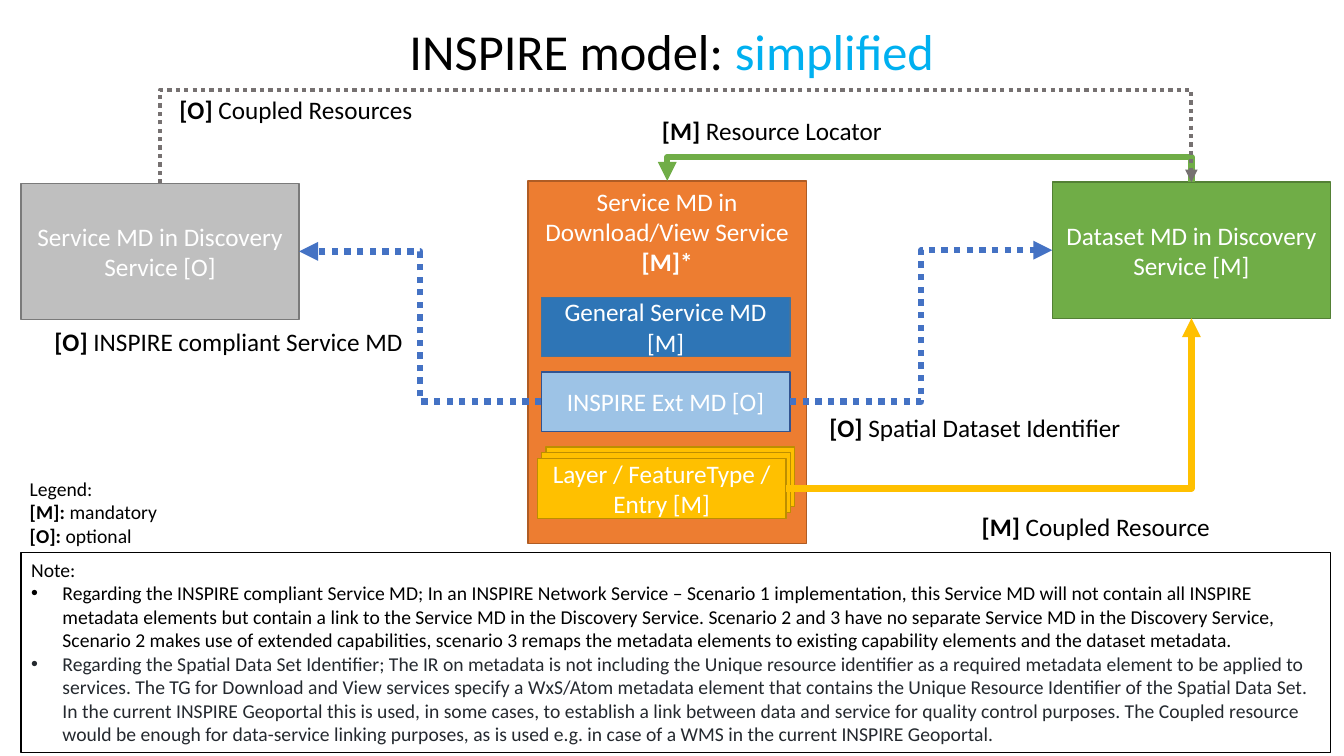
from dataclasses import dataclass

from lxml import etree
from pptx import Presentation
from pptx import util as u
from pptx.dml import color
from pptx.enum import dml, shapes, text
from pptx.oxml import ns

TOP, LEFT, BOTTOM, RIGHT = range(4)


@dataclass(frozen=True)
class Theme:
    font: str = "Calibri"
    title: int = 36
    label: int = 18
    note: int = 14
    black: str = "000000"
    white: str = "FFFFFF"
    accent: str = "00B0F0"
    ink: str = "24292F"
    gray: tuple = ("BFBFBF", "7A7A7A")
    orange: tuple = ("ED7D31", "AF5C24")
    green: tuple = ("70AD47", "538035")
    yellow: tuple = ("FFC000", "BD8E00")
    blue: tuple = ("2E75B6", "43739E")
    sky: tuple = ("9DC3E6", "325491")
    link: str = "4472C4"
    coupling: str = "767171"


THEME = Theme()


def apply(target, values):
    for name, value in values.items():
        setattr(target, name, value)


def rgb(value):
    return color.RGBColor.from_string(value)


def place(shape, left, top, width, height):
    apply(shape, {"left": u.Cm(left), "top": u.Cm(top),
                  "width": u.Cm(width), "height": u.Cm(height)})


def paint(shape, fill, line):
    shape.fill.solid()
    shape.fill.fore_color.rgb = rgb(fill)
    shape.line.color.rgb = rgb(line)
    shape.line.width = u.Pt(1)


def write(frame, paragraphs, size, ink, align=text.PP_ALIGN.LEFT, **frame_format):
    apply(frame, {"word_wrap": True, "auto_size": text.MSO_AUTO_SIZE.NONE, **frame_format})
    for index, runs in enumerate(paragraphs):
        paragraph = frame.add_paragraph() if index else frame.paragraphs[0]
        apply(paragraph, {"alignment": align, "space_before": u.Pt(0)})
        for words, changes in runs:
            run = paragraph.add_run()
            run.text = words
            values = {"name": THEME.font, "size": u.Pt(size), "bold": False, **changes}
            run.font.color.rgb = rgb(values.pop("ink", ink))
            apply(run.font, values)


def tagged(tag, words):
    return [(tag, {"bold": True}), (words, {})]


def add_box(parent, area, colours, runs=(), anchor=text.MSO_ANCHOR.MIDDLE):
    box = parent.add_shape(shapes.MSO_SHAPE.RECTANGLE, 0, 0, 0, 0)
    place(box, *area)
    box.shadow.inherit = False
    paint(box, *colours)
    if runs:
        write(box.text_frame, [runs], THEME.label, THEME.white,
              text.PP_ALIGN.CENTER, vertical_anchor=anchor)
    return box


def add_label(slide, area, paragraphs, size=THEME.label, wrap=False):
    label = slide.shapes.add_textbox(0, 0, 0, 0)
    place(label, *area)
    write(label.text_frame, paragraphs, size, THEME.black, word_wrap=wrap)


def add_link(slide, start, end, ink, width=4.5, dotted=False, corner=False, crest=None):
    link = slide.shapes.add_connector(shapes.MSO_CONNECTOR.ELBOW, 0, 0, 0, 0)
    link.begin_connect(*start)
    link.end_connect(*end)
    link.line.color.rgb = rgb(ink)
    link.line.width = u.Pt(width)
    if dotted:
        link.line.dash_style = dml.MSO_LINE.ROUND_DOT
    properties = link._element.spPr
    if corner:
        properties.find(ns.qn("a:prstGeom")).set("prst", "bentConnector2")
    if crest is not None:
        raise_link(link, u.Cm(crest))
    etree.SubElement(properties.find(ns.qn("a:ln")), ns.qn("a:tailEnd"), type="triangle")
    etree.SubElement(properties, ns.qn("a:effectLst"))


def raise_link(link, crest):
    start_x, start_y, end_x, end_y = link.begin_x, link.begin_y, link.end_x, link.end_y
    rise, span = start_y - end_y, abs(end_x - start_x)
    apply(link, {"left": (start_x + end_x - rise) // 2, "top": (start_y + end_y - span) // 2,
                 "width": rise, "height": span})
    properties = link._element.spPr
    frame = properties.find(ns.qn("a:xfrm"))
    for name, value in {"rot": "16200000", "flipH": "0",
                        "flipV": str(int(end_x < start_x))}.items():
        frame.set(name, value)
    geometry = properties.find(ns.qn("a:prstGeom"))
    guides = geometry.find(ns.qn("a:avLst"))
    if guides is None:
        guides = etree.SubElement(geometry, ns.qn("a:avLst"))
    bend = round((start_y - crest) / rise * 100000)
    etree.SubElement(guides, ns.qn("a:gd"), name="adj1", fmla=f"val {bend}")


def set_bullet(paragraph, bullet):
    properties = paragraph._p.get_or_add_pPr()
    indent = u.Cm(0.79) if bullet else 0
    properties.set("marL", str(indent))
    properties.set("indent", str(-indent))
    if bullet:
        etree.SubElement(properties, ns.qn("a:buFont"), typeface="Arial")
        etree.SubElement(properties, ns.qn("a:buChar"), char=bullet)
    else:
        etree.SubElement(properties, ns.qn("a:buNone"))


def add_title_and_note(slide):
    title, note = slide.placeholders
    place(title, 9.73, 0.38, 14.4, 1.8)
    write(title.text_frame, [[("INSPIRE model: ", {}), ("simplified", {"ink": THEME.accent})]],
          THEME.title, THEME.black, text.PP_ALIGN.CENTER, word_wrap=False)
    place(note, 0.53, 13.92, 33, 5.05)
    paint(note, THEME.white, THEME.black)
    write(note.text_frame, [
        [("Note:", {})],
        [("Regarding the INSPIRE compliant Service MD; In an INSPIRE Network Service – Scenario 1 "
          "implementation, this Service MD will not contain all INSPIRE metadata elements but "
          "contain a link to the Service MD in the Discovery Service. Scenario 2 and 3 have no "
          "separate Service MD in the Discovery Service, Scenario 2 makes use of extended "
          "capabilities, scenario 3 remaps the metadata elements to existing capability elements "
          "and the dataset metadata.", {})],
        [("Regarding the Spatial Data Set Identifier; The IR on metadata is not including the "
          "Unique resource identifier as a required metadata element to be applied to services. "
          "The TG for Download and View services specify a WxS/Atom metadata element that "
          "contains the Unique Resource Identifier of the Spatial Data Set. In the current "
          "INSPIRE Geoportal this is used, in some cases, to establish a link between data and "
          "service for quality control purposes. The Coupled resource would be enough for "
          "data-service linking purposes, as is used e.g. in case of a WMS in the current "
          "INSPIRE Geoportal.", {"ink": THEME.ink})],
    ], THEME.note, THEME.black, vertical_anchor=text.MSO_ANCHOR.TOP)
    for index, paragraph in enumerate(note.text_frame.paragraphs):
        set_bullet(paragraph, "•" if index else None)


def add_layers(slide):
    stack = slide.shapes.add_group_shape()
    for depth in (2, 1, 0):
        runs = () if depth else [("Layer / FeatureType / Entry [M]", {})]
        front = add_box(stack.shapes, (13.54 + 0.11 * depth, 11.56 - 0.15 * depth, 6.27, 1.5),
                        THEME.yellow, runs)
    return front


def main():
    presentation = Presentation()
    apply(presentation, {"slide_width": u.Cm(33.87), "slide_height": u.Cm(19.05)})
    slide = presentation.slides.add_slide(presentation.slide_layouts[1])
    add_title_and_note(slide)

    discovery = add_box(slide.shapes, (0.53, 4.62, 7.01, 3.43), THEME.gray,
                        [("Service MD in Discovery Service [O]", {})])
    service = add_box(slide.shapes, (13.31, 4.56, 7.01, 9.14), THEME.orange,
                      [("Service MD in Download/View Service ", {}), ("[M]*", {"bold": True})],
                      text.MSO_ANCHOR.TOP)
    dataset = add_box(slide.shapes, (26.52, 4.59, 7.01, 3.43), THEME.green,
                      [("Dataset MD in Discovery Service [M]", {})])
    general, extension = [
        add_box(slide.shapes, (13.64, 7.49 + 1.88 * row, 6.27, 1.5), colours, [(words, {})])
        for row, (words, colours) in enumerate([("General Service MD [M]", THEME.blue),
                                                ("INSPIRE Ext MD [O]", THEME.sky)])]
    layer = add_layers(slide)

    add_link(slide, (extension, RIGHT), (dataset, LEFT), THEME.link, dotted=True)
    add_link(slide, (extension, LEFT), (discovery, RIGHT), THEME.link, dotted=True)
    add_link(slide, (layer, RIGHT), (dataset, BOTTOM), THEME.yellow[0], corner=True)
    add_link(slide, (dataset, TOP), (service, TOP), THEME.green[0], crest=3.96)
    add_link(slide, (discovery, TOP), (dataset, TOP), THEME.coupling, 3, dotted=True, crest=2.26)

    for left, top, width, tag, words in [
            (4.27, 2.26, 6.71, "[O]", " Coupled Resources"),
            (16.43, 2.77, 6.12, "[M]", " Resource Locator"),
            (1.12, 8.1, 9.4, "[O]", " INSPIRE compliant Service MD"),
            (20.65, 10.26, 7.95, "[O]", " Spatial Dataset Identifier"),
            (24.49, 12.75, 6.35, "[M]", " Coupled Resource")]:
        add_label(slide, (left, top, width, 1.02), [tagged(tag, words)])
    add_label(slide, (0.5, 11.89, 6.78, 2.06),
              [[("Legend:", {})], tagged("[M]: ", "mandatory"), tagged("[O]:", " optional")],
              THEME.note, wrap=True)
    presentation.save("out.pptx")


main()
